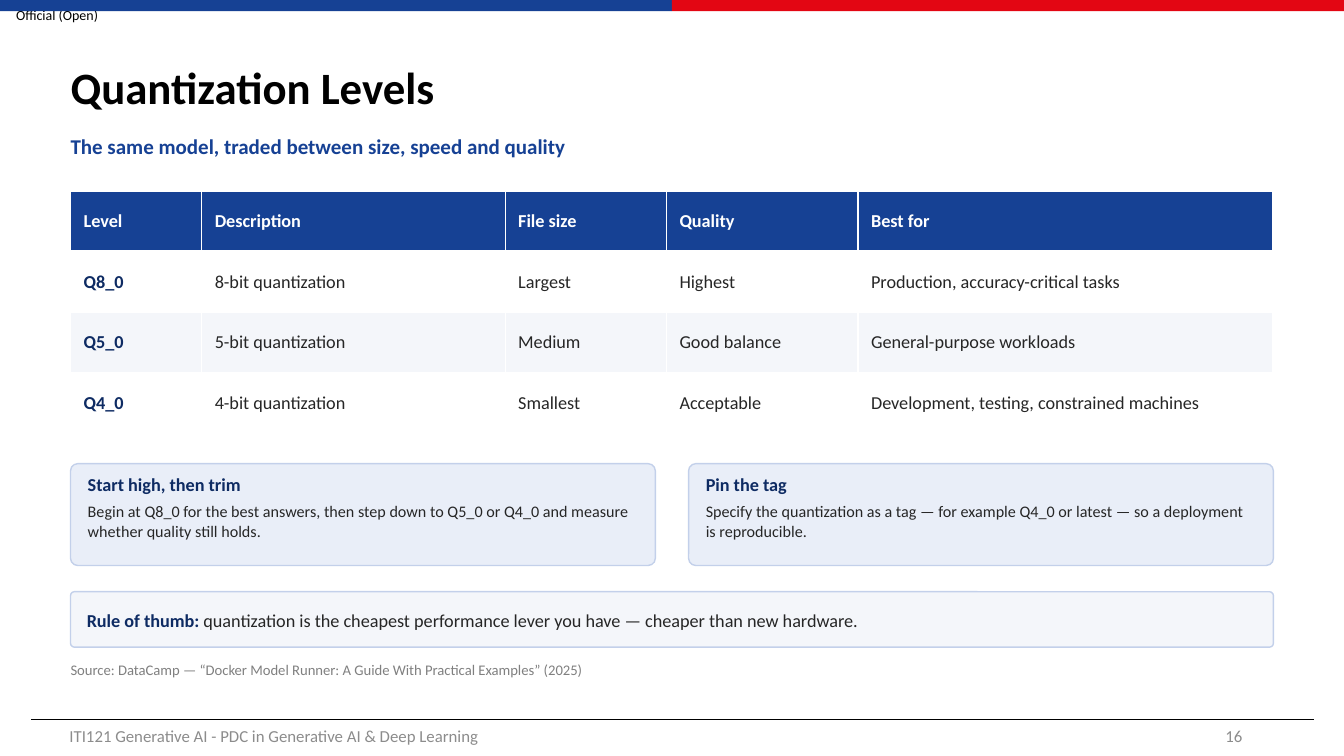
from dataclasses import dataclass

from lxml import etree
from pptx import Presentation
from pptx.dml.color import RGBColor
from pptx.enum import shapes, text
from pptx.oxml import ns
from pptx.util import Inches, Pt


@dataclass(frozen=True)
class Theme:
    font: str = "Calibri"
    blue: str = "164194"
    red: str = "E30613"
    navy: str = "0E2B63"
    ink: str = "262626"
    black: str = "000000"
    white: str = "FFFFFF"
    band: str = "F4F6FA"
    card: str = "E9EEF8"
    edge: str = "C3D0EA"
    source: str = "808080"
    footer: str = "8C8C8C"
    title_size: float = 32
    subtitle_size: float = 15
    body_size: float = 13
    detail_size: float = 11.5
    footer_size: float = 12
    source_size: float = 10.5
    label_size: float = 10


T = Theme()
MIDDLE = text.MSO_ANCHOR.MIDDLE
TOP = text.MSO_ANCHOR.TOP
LEFT, WIDTH = 0.7, 11.93


def rgb(color):
    return RGBColor.from_string(color)


def style(p, size, color, bold=False):
    for r in p.runs:
        r.font.name = T.font
        r.font.size = Pt(size)
        r.font.bold = bold
        r.font.color.rgb = rgb(color)


def set_frame(tf, insets, anchor):
    tf.word_wrap = True
    tf.vertical_anchor = anchor
    tf.margin_left, tf.margin_top, tf.margin_right, tf.margin_bottom = map(Inches, insets)


def add_text(s, box, words, size, color, bold=False, anchor=TOP, insets=(0, 0, 0, 0)):
    tf = s.shapes.add_textbox(*map(Inches, box)).text_frame
    set_frame(tf, insets, anchor)
    tf.text = words
    style(tf.paragraphs[0], size, color, bold)
    return tf.paragraphs[0]


def add_box(s, kind, box, fill, line=None):
    sp = s.shapes.add_shape(kind, *map(Inches, box))
    sp.shadow.inherit = False
    sp.fill.solid()
    sp.fill.fore_color.rgb = rgb(fill)
    if line:
        sp.line.color.rgb = rgb(line)
        sp.line.width = Pt(1)
    else:
        sp.line.fill.background()
    return sp


def add_panel(s, box, fill, anchor=TOP):
    sp = add_box(s, shapes.MSO_SHAPE.ROUNDED_RECTANGLE, box, fill, T.edge)
    sp.adjustments[0] = 0.07
    set_frame(sp.text_frame, (0.15, 0.09, 0.15, 0.09), anchor)
    p = sp.text_frame.paragraphs[0]
    p.alignment = text.PP_ALIGN.LEFT
    return sp.text_frame, p


def add_header(s, box):
    left, top, width, height = box
    add_text(s, (left, top, 1.13, 0.29), "Official (Open)", T.label_size, T.black,
             anchor=MIDDLE, insets=(0.16, 0, 0, 0))
    half = width / 2
    for i, color in enumerate((T.blue, T.red)):
        add_box(s, shapes.MSO_SHAPE.RECTANGLE, (left + i * half, top, half, height), color)


def add_heading(s, box):
    left, top, width, height = box
    p = add_text(s, (left, top, width, 1.18), "Quantization Levels", T.title_size,
                 T.black, True, MIDDLE)
    p.line_spacing = 0.9
    add_text(s, (left, top + 1.02, width, height - 1.02),
             "The same model, traded between size, speed and quality",
             T.subtitle_size, T.blue, True)


def add_borders(cell, bottom):
    tcPr = cell._tc.get_or_add_tcPr()
    for side, points in (("L", 1), ("R", 1), ("T", 1), ("B", bottom)):
        ln = etree.SubElement(tcPr, ns.qn(f"a:ln{side}"), w=str(Pt(points)))
        fill = etree.SubElement(ln, ns.qn("a:solidFill"))
        etree.SubElement(fill, ns.qn("a:srgbClr"), val=T.white)


def add_levels(s, box, columns, rows):
    table = s.shapes.add_table(len(rows), len(columns), *map(Inches, box)).table
    for column, width in zip(table.columns, columns):
        column.width = Inches(width)
    for i, row in enumerate(rows):
        table.rows[i].height = Inches(box[3] / len(rows))
        fill = T.blue if i == 0 else T.white if i % 2 else T.band
        for j, words in enumerate(row):
            cell = table.cell(i, j)
            add_borders(cell, 3 if i == 0 else 1)
            cell.fill.solid()
            cell.fill.fore_color.rgb = rgb(fill)
            cell.vertical_anchor = MIDDLE
            cell.margin_left = cell.margin_right = Inches(0.13)
            cell.margin_top = cell.margin_bottom = Inches(0.05)
            cell.text_frame.text = words
            color = T.white if i == 0 else T.navy if j == 0 else T.ink
            style(cell.text_frame.paragraphs[0], T.body_size, color, i == 0 or j == 0)


def add_tips(s, box, tips, gap):
    left, top, width, height = box
    card = (width - gap * (len(tips) - 1)) / len(tips)
    for i, (heading, detail) in enumerate(tips):
        tf, p = add_panel(s, (left + i * (card + gap), top, card, height), T.card)
        p.text = heading
        p.line_spacing = 0.95
        p.space_after = Pt(4)
        style(p, T.body_size, T.navy, True)
        p = tf.add_paragraph()
        p.text = detail
        p.alignment = text.PP_ALIGN.LEFT
        p.line_spacing = 1.02
        style(p, T.detail_size, T.ink)


def add_rule(s, box):
    tf, p = add_panel(s, box, T.band, MIDDLE)
    p.text = "Rule of thumb: "
    p.line_spacing = 1.05
    style(p, T.body_size, T.ink)
    r = p.runs[0]
    r.font.bold = True
    r.font.color.rgb = rgb(T.navy)
    r = p.add_run()
    r.text = "quantization is the cheapest performance lever you have — cheaper than new hardware."
    r.font.name = T.font
    r.font.size = Pt(T.body_size)
    r.font.bold = False
    r.font.color.rgb = rgb(T.ink)


def add_footer(s, box):
    left, top, width, height = box
    line = s.shapes.add_connector(shapes.MSO_CONNECTOR.STRAIGHT, Inches(left),
                                  Inches(top + 0.04), Inches(left + width), Inches(top + 0.04))
    line.line.color.rgb = rgb(T.black)
    line.line.width = Pt(0.5)
    etree.SubElement(line._element.spPr, ns.qn("a:effectLst"))
    insets = (0.1, 0.05, 0.1, 0.05)
    add_text(s, (left + 0.28, top, 4.5, height),
             "ITI121 Generative AI - PDC in Generative AI & Deep Learning",
             T.footer_size, T.footer, anchor=MIDDLE, insets=insets)
    p = add_text(s, (left + width - 3.61, top, 3, height), "16", T.footer_size, T.footer,
                 anchor=MIDDLE, insets=insets)
    p.alignment = text.PP_ALIGN.RIGHT


def main():
    prs = Presentation()
    prs.slide_width, prs.slide_height = Inches(13.33), Inches(7.5)
    s = prs.slides.add_slide(prs.slide_layouts[6])
    add_header(s, (0, 0, 13.33, 0.11))
    add_heading(s, (LEFT, 0.3, WIDTH, 1.42))
    add_levels(s, (LEFT, 1.9, WIDTH, 2.4), (1.3, 3.01, 1.6, 1.9, 4.11), (
        ("Level", "Description", "File size", "Quality", "Best for"),
        ("Q8_0", "8-bit quantization", "Largest", "Highest", "Production, accuracy-critical tasks"),
        ("Q5_0", "5-bit quantization", "Medium", "Good balance", "General-purpose workloads"),
        ("Q4_0", "4-bit quantization", "Smallest", "Acceptable",
         "Development, testing, constrained machines"),
    ))
    add_tips(s, (LEFT, 4.6, WIDTH, 1.01), (
        ("Start high, then trim",
         "Begin at Q8_0 for the best answers, then step down to Q5_0 or Q4_0 "
         "and measure whether quality still holds."),
        ("Pin the tag",
         "Specify the quantization as a tag — for example Q4_0 or latest — "
         "so a deployment is reproducible."),
    ), 0.33)
    add_rule(s, (LEFT, 5.87, WIDTH, 0.55))
    add_text(s, (LEFT, 6.56, WIDTH, 0.3),
             "Source: DataCamp — “Docker Model Runner: A Guide With Practical Examples” (2025)",
             T.source_size, T.source)
    add_footer(s, (0.31, 7.1, 12.72, 0.4))
    prs.save("out.pptx")


if __name__ == "__main__":
    main()
